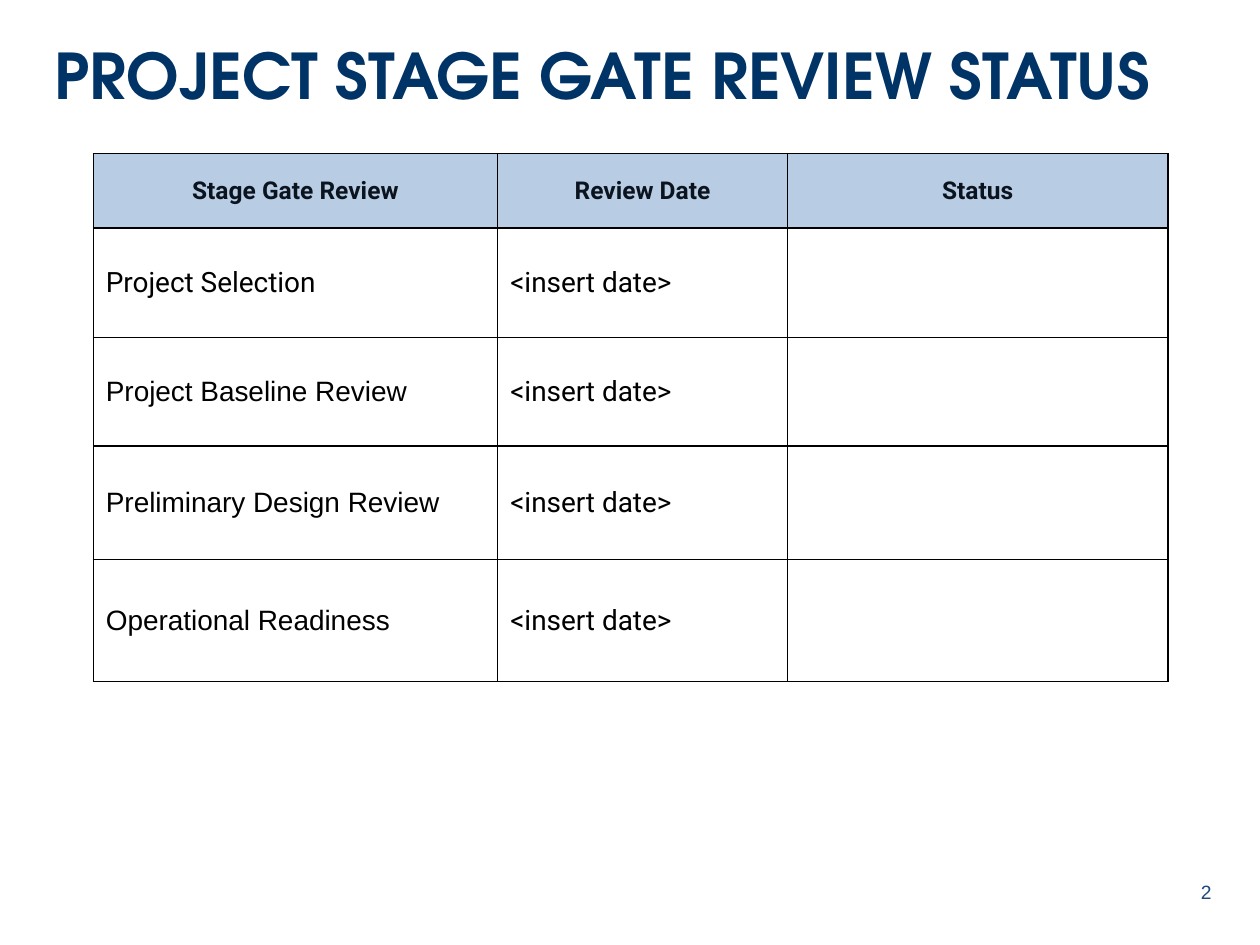
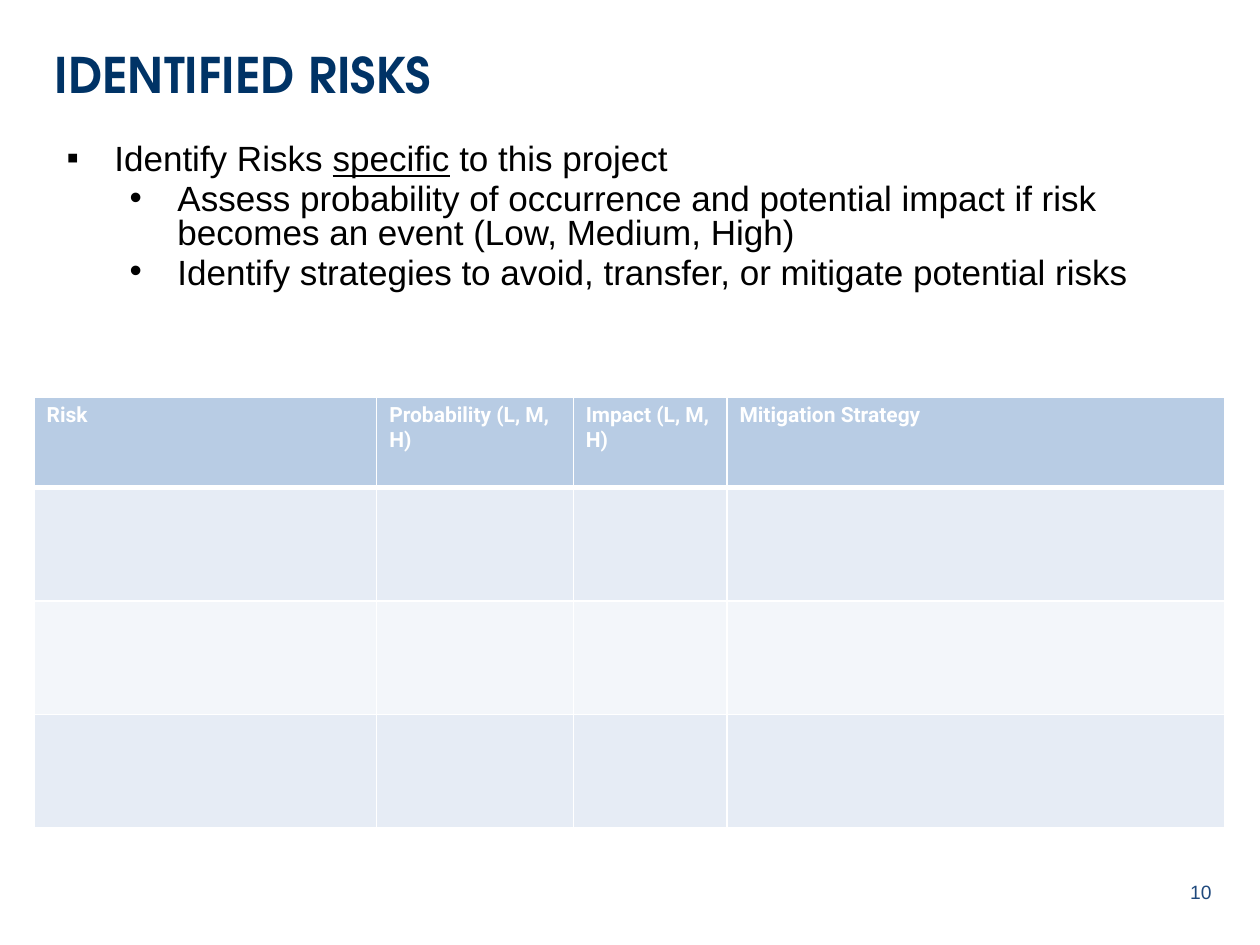
from lxml import etree
from pptx import Presentation
from pptx import util as u
from pptx.dml.color import RGBColor
from pptx.enum import shapes, text
from pptx.oxml.ns import qn

WIDE, HIGH = 10, 7.5
HUES = {"navy": "003366", "blue": "1F497D", "head": "B8CCE4", "ink": "0B141E",
        "black": "000000", "white": "FFFFFF", "band": "E6ECF5", "pale": "F3F6FA"}
MID = text.MSO_ANCHOR.MIDDLE
LEFT = text.PP_ALIGN.LEFT
MARKS = [("▪", 0.38), ("•", 0.88)]
DATE = "<insert date>"
GATES = ["Project Selection", "Project Baseline Review",
         "Preliminary Design Review", "Operational Readiness"]
STEPS = [(0, ["Identify Risks ", "specific", " to this project"]),
         (1, ["Assess probability of occurrence and potential impact if risk "
              "becomes an event (Low, Medium, High)"]),
         (1, ["Identify strategies to avoid, transfer, or mitigate potential risks"])]

LOOKS = {
    "title": {"name": "TeX Gyre Adventor", "size": u.Pt(36), "bold": True, "hue": "navy"},
    "page": {"name": "Arial", "size": u.Pt(11), "hue": "blue"},
    "list": {"name": "Arial", "size": u.Pt(20), "hue": "black"},
    "gate": {"name": "Roboto", "size": u.Pt(14), "bold": True, "hue": "ink"},
    "date": {"name": "Roboto", "size": u.Pt(16), "bold": False, "hue": "black"},
    "risk": {"name": "Roboto", "size": u.Pt(12), "bold": True, "hue": "white"},
}
LOOKS["review"] = LOOKS["date"] | {"name": "Arial"}


def color(name):
    return RGBColor.from_string(HUES[name])


def write(para, words, look, **more):
    run = para.add_run()
    run.text = words
    form = LOOKS[look] | more
    for key, value in form.items():
        if key == "hue":
            run.font.color.rgb = color(value)
        else:
            setattr(run.font, key, value)


def add_box(slide, left, top, width, height, anchor=MID, fill=None):
    place = [u.Inches(size) for size in (left, top, width, height)]
    if fill:
        box = slide.shapes.add_shape(shapes.MSO_SHAPE.RECTANGLE, *place)
        box.shadow.inherit = False
        box.fill.solid()
        box.fill.fore_color.rgb = color(fill)
        box.line.fill.background()
    else:
        box = slide.shapes.add_textbox(*place)
    box.text_frame.word_wrap = True
    box.text_frame.vertical_anchor = anchor
    return box


def add_frame(deck, title, size, page, fill=None):
    slide = deck.slides.add_slide(deck.slide_layouts[6])
    head = add_box(slide, WIDE / 30, 0.17, WIDE * 28 / 30, 0.84, fill=fill)
    para = head.text_frame.paragraphs[0]
    para.alignment = LEFT
    write(para, title, "title", size=u.Pt(size))
    foot = add_box(slide, 7.38, 6.88, WIDE * 7 / 30, 0.4)
    para = foot.text_frame.paragraphs[0]
    para.alignment = text.PP_ALIGN.RIGHT
    write(para, page, "page")
    return slide


def add_list(slide, items):
    frame = add_box(slide, 0.43, 1.1, 9.13, 1.31, text.MSO_ANCHOR.TOP).text_frame
    for at, (level, parts) in enumerate(items):
        para = frame.add_paragraph() if at else frame.paragraphs[0]
        mark, indent = MARKS[level]
        form = {"level": level, "line_spacing": 0.8, "space_before": u.Pt(3.6)}
        for key, value in form.items():
            setattr(para, key, value)
        props = para._p.get_or_add_pPr()
        props.set("marL", str(u.Inches(indent)))
        props.set("indent", str(-u.Inches(MARKS[0][1])))
        etree.SubElement(props, qn("a:buFont")).set("typeface", "Arial")
        etree.SubElement(props, qn("a:buChar")).set("char", mark)
        for part in parts:
            write(para, part, "list", underline=part == "specific")


def rule(cell, hue, base):
    props = cell._tc.get_or_add_tcPr()
    for at, side in enumerate("LRTB"):
        line = etree.Element(qn("a:ln" + side))
        line.set("w", str(u.Pt(base if side == "B" else 1)))
        fill = etree.SubElement(line, qn("a:solidFill"))
        etree.SubElement(fill, qn("a:srgbClr")).set("val", HUES[hue])
        props.insert(at, line)


def add_grid(slide, left, top, cols, rows, hue, fills, bases):
    shape = slide.shapes.add_table(len(rows), len(cols), *map(
        u.Inches, (left, top, sum(cols), sum(rows))))
    grid = shape.table
    grid.first_row = grid.horz_banding = False
    for col, width in zip(grid.columns, cols):
        col.width = u.Inches(width)
    for row, height, fill, base in zip(grid.rows, rows, fills, bases):
        row.height = u.Inches(height)
        for cell in row.cells:
            if fill:
                cell.fill.solid()
                cell.fill.fore_color.rgb = color(fill)
            else:
                cell.fill.background()
            rule(cell, hue, base)
    return grid


def put(cell, words, look, anchor=MID, align=LEFT):
    cell.vertical_anchor = anchor
    para = cell.text_frame.paragraphs[0]
    para.alignment = align
    write(para, words, look)


def add_gates(deck):
    slide = add_frame(deck, "PROJECT STAGE GATE REVIEW STATUS", 36, "2")
    grid = add_grid(slide, 0.74, 1.22, [3.21, 2.3, 3.02],
                    [0.59, 0.87, 0.86, 0.9, 0.97], "black",
                    ["head"] + [None] * len(GATES), [1] * (len(GATES) + 1))
    for col, words in enumerate(["Stage Gate Review", "Review Date", "Status"]):
        put(grid.cell(0, col), words, "gate", align=text.PP_ALIGN.CENTER)
    for row, gate in enumerate(GATES, 1):
        put(grid.cell(row, 0), gate, "date" if row == 1 else "review")
        put(grid.cell(row, 1), DATE, "date")


def add_risks(deck):
    slide = add_frame(deck, "IDENTIFIED RISKS", 28, "10", "white")
    add_list(slide, STEPS)
    grid = add_grid(slide, 0.27, 3.15, [2.72, 1.56, 1.22, 3.95],
                    [0.72] + [0.9] * 3, "white",
                    ["head", "band", "pale", "band"], [3, 1, 1, 1])
    heads = ["Risk", "Probability (L, M, H)", "Impact (L, M, H)", "Mitigation Strategy"]
    for col, words in enumerate(heads):
        put(grid.cell(0, col), words, "risk", text.MSO_ANCHOR.TOP)


def main():
    deck = Presentation()
    deck.slide_width, deck.slide_height = u.Inches(WIDE), u.Inches(HIGH)
    add_gates(deck)
    add_risks(deck)
    deck.save("out.pptx")


if __name__ == "__main__":
    main()
